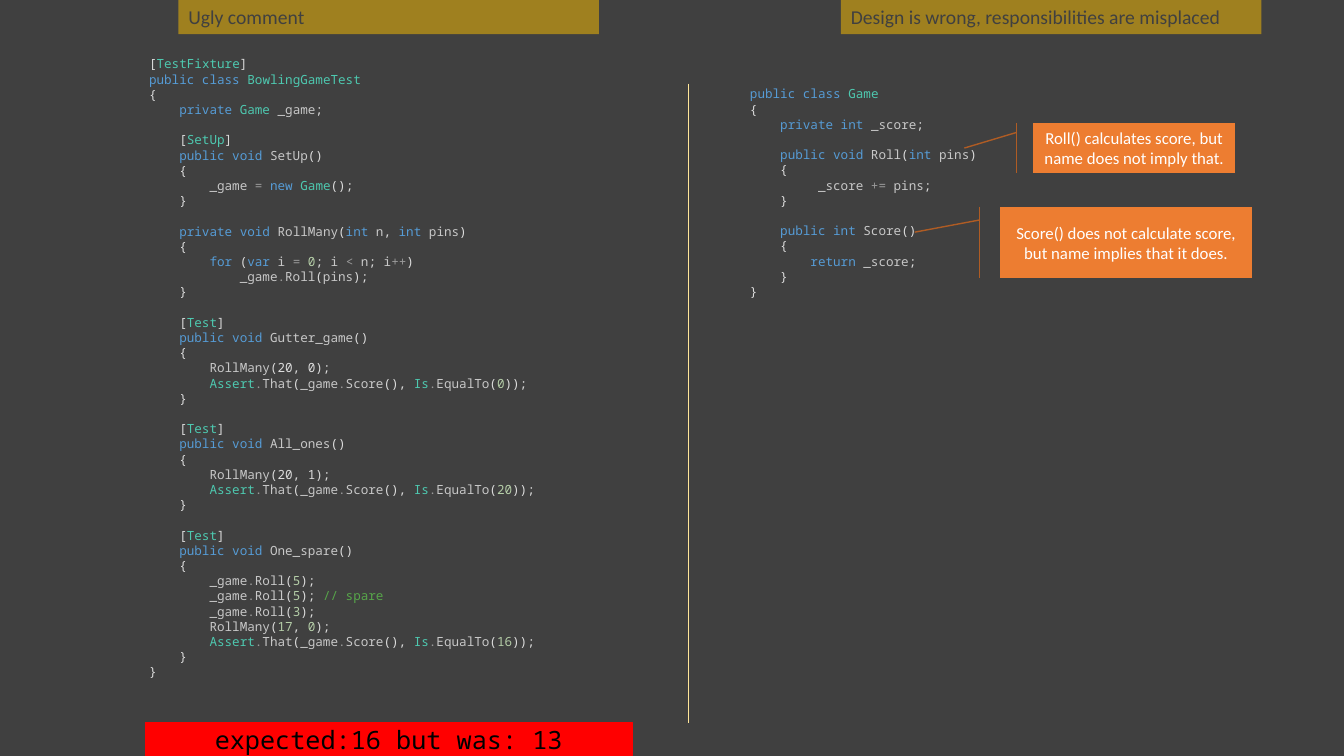
from itertools import groupby

from lxml import etree
from pptx import Presentation
from pptx.dml.color import RGBColor
from pptx.enum.shapes import MSO_CONNECTOR, MSO_SHAPE as SHAPE
from pptx.enum.text import MSO_ANCHOR as ANCHOR, PP_ALIGN as ALIGN
from pptx.oxml.ns import qn
from pptx.util import Inches, Pt

BACKGROUND = RGBColor(0x40, 0x40, 0x40)
GOLD = RGBColor(0xFF, 0xC0, 0x00)
PALE_GOLD = RGBColor(0xFF, 0xE6, 0x99)
ORANGE = RGBColor(0xED, 0x7D, 0x31)
DARK_ORANGE = RGBColor(0xAF, 0x5C, 0x24)
RED = RGBColor(0xFF, 0x00, 0x00)
WHITE = RGBColor(0xFF, 0xFF, 0xFF)
BLACK = RGBColor(0x00, 0x00, 0x00)

KEYWORD = RGBColor(0x56, 0x9C, 0xD6)
TYPE = RGBColor(0x4E, 0xC9, 0xB0)
NAME = RGBColor(0xC8, 0xC8, 0xC8)
NUMBER = RGBColor(0xB5, 0xCE, 0xA8)
OPERATOR = RGBColor(0x9B, 0x9B, 0x9B)
PUNCTUATION = RGBColor(0xDC, 0xDC, 0xDC)
COMMENT = RGBColor(0x57, 0xA6, 0x4A)

KEYWORDS = {"public", "private", "class", "void", "int", "new", "for", "var", "return"}
TYPES = {"TestFixture", "BowlingGameTest", "Game", "Test", "Assert", "Is"}

FIXTURE_CODE = """\
    [TestFixture]
    public class BowlingGameTest
    {
        private Game _game;

        [SetUp]
        public void SetUp()
        {
            _game = new Game();
        }

        private void RollMany(int n, int pins)
        {
            for (var i = 0; i < n; i++)
                _game.Roll(pins);
        }"""

TESTS_CODE = """\
        [Test]
        public void Gutter_game()
        {
            RollMany(20, 0);
            Assert.That(_game.Score(), Is.EqualTo(0));
        }

        [Test]
        public void All_ones()
        {
            RollMany(20, 1);
            Assert.That(_game.Score(), Is.EqualTo(20));
        }

        [Test]
        public void One_spare()
        {
            _game.Roll(5);
            _game.Roll(5); // spare
            _game.Roll(3);
            RollMany(17, 0);
            Assert.That(_game.Score(), Is.EqualTo(16));
        }
    }"""

GAME_CODE = """\
    public class Game
    {
        private int _score;

        public void Roll(int pins)
        {
             _score += pins;
        }

        public int Score()
        {
            return _score;
        }
    }"""


def kind(char):
    if char.isalnum() or char == "_":
        return "word"
    if char in "=+<.":
        return "operator"
    return "space" if char == " " else "punctuation"


def tokens(line):
    """Yield (text, colour) for each piece of a line of code."""
    code, slashes, remark = line.partition("//")
    for group, chars in groupby(code, kind):
        text = "".join(chars)
        if group == "operator":
            colour = OPERATOR
        elif group != "word":
            colour = PUNCTUATION
        elif text in KEYWORDS:
            colour = KEYWORD
        elif text in TYPES or line.startswith("["):
            colour = TYPE
        elif text.isdigit():
            colour = PUNCTUATION if line.startswith("RollMany(20") else NUMBER
        else:
            colour = NAME
        yield text, colour
    if slashes:
        yield slashes + remark, COMMENT


class Deck:
    CODE_FONT = "Noto Sans Mono"
    TEXT_FONT = "Calibri"
    CODE_SIZE = Pt(9)
    CODE_PITCH = Pt(10.85)
    CHAR_WIDTH = 0.075

    def __init__(self):
        self.prs = Presentation()
        self.prs.slide_width, self.prs.slide_height = Inches(13.33), Inches(7.5)
        self.s = self.prs.slides.add_slide(self.prs.slide_layouts[6])
        fill = self.s.background.fill
        fill.solid()
        fill.fore_color.rgb = BACKGROUND

    def run(self, p, text, colour, size, name):
        r = p.add_run()
        r.text = text
        for key, value in {"size": size, "name": name}.items():
            setattr(r.font, key, value)
        r.font.color.rgb = colour

    def box(self, at, fill, preset=SHAPE.RECTANGLE, line=None, width=1, alpha=None):
        sp = self.s.shapes.add_shape(preset, *map(Inches, at))
        sp.shadow.inherit = False
        sp.fill.solid()
        sp.fill.fore_color.rgb = fill
        if alpha:
            clr = sp._element.spPr.find(".//" + qn("a:srgbClr"))
            etree.SubElement(clr, qn("a:alpha")).set("val", str(alpha * 1000))
        if line is None:
            sp.line.fill.background()
        else:
            sp.line.color.rgb = line
            sp.line.width = Pt(width)
        return sp

    def label(self, sp, text, colour, size, font=TEXT_FONT, align=ALIGN.CENTER,
              anchor=ANCHOR.MIDDLE, wrap=True):
        tf = sp.text_frame
        tf.word_wrap, tf.vertical_anchor = wrap, anchor
        p = tf.paragraphs[0]
        p.alignment = align
        self.run(p, text, colour, Pt(size), font)

    def heading(self, at, text):
        sp = self.box(at, GOLD, alpha=50)
        self.label(sp, text, BACKGROUND, 14, align=ALIGN.LEFT, anchor=ANCHOR.TOP)

    def callout(self, at, text, adjustments):
        sp = self.box(at, ORANGE, SHAPE.LINE_CALLOUT_1_ACCENT_BAR, DARK_ORANGE)
        for i, value in enumerate(adjustments):
            sp.adjustments[i] = value
        self.label(sp, text, WHITE, 12)

    def result(self, at, text):
        sp = self.box(at, RED, line=RED, width=0.75)
        self.label(sp, text, BLACK, 18, self.CODE_FONT, wrap=False)

    def code(self, at, *blocks):
        """Add highlighted code; blank lines become space before a paragraph."""
        tf = self.s.shapes.add_textbox(*map(Inches, at)).text_frame
        tf.word_wrap, tf.vertical_anchor = True, ANCHOR.MIDDLE
        p, gap = tf.paragraphs[0], Pt(0)
        for i, line in enumerate("\n\n".join(blocks).splitlines()):
            text = line.lstrip()
            if not text:
                gap = self.CODE_PITCH
                continue
            if i:
                p = tf.add_paragraph()
            layout = {"alignment": ALIGN.LEFT, "line_spacing": self.CODE_PITCH,
                      "space_before": gap}
            for key, value in layout.items():
                setattr(p, key, value)
            margin = Inches((len(line) - len(text)) * self.CHAR_WIDTH)
            p._p.get_or_add_pPr().set("marL", str(margin))
            for token, colour in tokens(text):
                self.run(p, token, colour, self.CODE_SIZE, self.CODE_FONT)
            gap = Pt(0)

    def divider(self, x, top, bottom):
        line = self.s.shapes.add_connector(
            MSO_CONNECTOR.STRAIGHT, *map(Inches, (x, top, x, bottom)))
        line.line.color.rgb = PALE_GOLD
        line.line.width = Pt(0.75)
        etree.SubElement(line._element.spPr, qn("a:effectLst"))


def main():
    deck = Deck()
    deck.code((7.04, 0.8, 5.5, 2.22), GAME_CODE)
    deck.callout((10.25, 1.22, 2, 0.5),
                 "Roll() calculates score, but name does not imply that.",
                 (0.188, -0.083, 0.499, -0.343))
    deck.callout((9.92, 2.05, 2.5, 0.71),
                 "Score() does not calculate score, but name implies that it does.",
                 (0.188, -0.083, 0.357, -0.339))
    deck.heading((1.77, 0, 4.17, 0.34), "Ugly comment")
    deck.heading((8.34, 0, 4.17, 0.34), "Design is wrong, responsibilities are misplaced")
    deck.divider(6.83, 0.83, 7.17)
    deck.code((1.08, 0.42, 5.54, 6.46), FIXTURE_CODE, TESTS_CODE)
    deck.result((1.44, 7.17, 4.83, 0.33), "expected:16 but was: 13")
    deck.prs.save("out.pptx")


if __name__ == "__main__":
    main()
